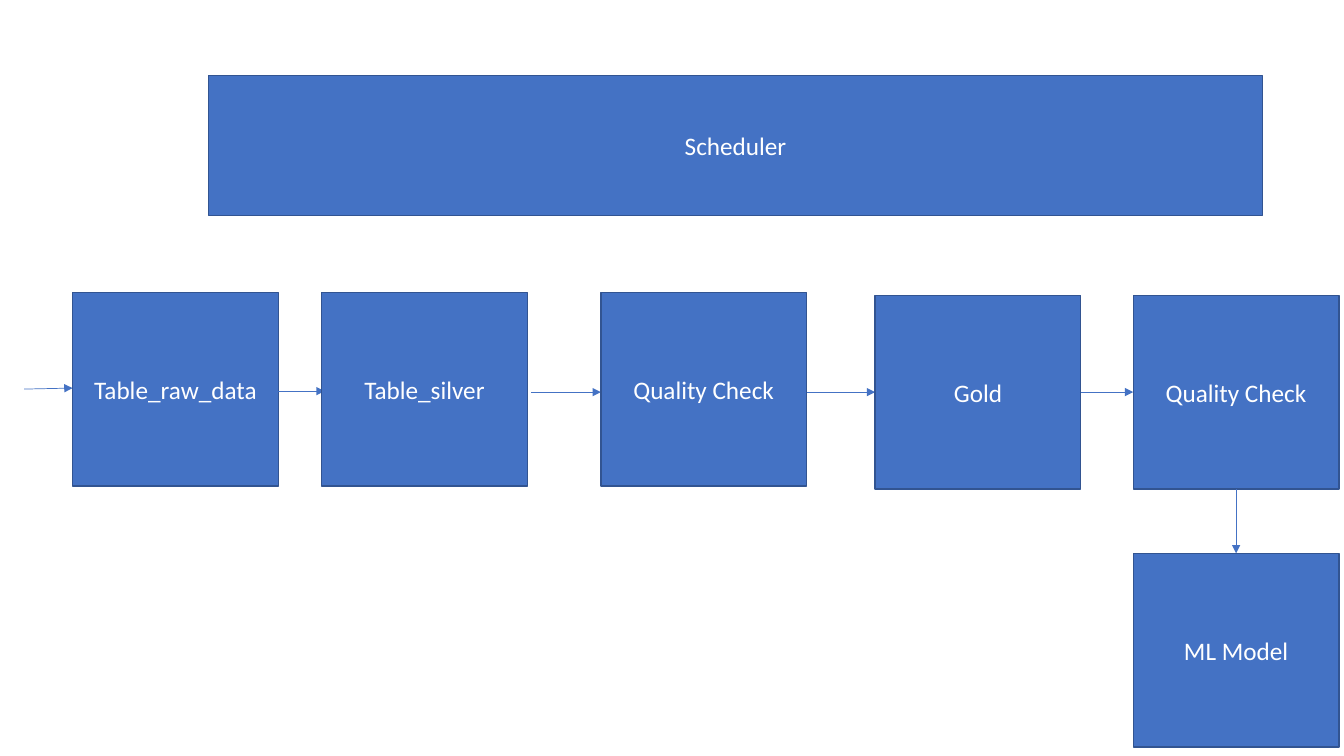
"""Build a data pipeline slide: an orchestrator above a chain of stages."""
from dataclasses import dataclass

from lxml import etree
from pptx import Presentation
from pptx.dml.color import RGBColor
from pptx.enum import shapes, text
from pptx.oxml import ns
from pptx.util import Inches, Pt


@dataclass(frozen=True)
class Theme:
    fill: str = "4472C4"
    border: str = "325491"
    label: str = "FFFFFF"
    font: str = "Calibri"
    label_size: float = 18
    border_width: float = 1
    arrow_width: float = 0.5


THEME = Theme()
STAGE_SIZE = (2.04, 1.92)
UPPER, LOWER, BOTTOM = 2.9, 2.93, 5.49

ORCHESTRATOR = ("Scheduler", (2.07, 0.75, 10.45, 1.39))
STAGES = [
    ("Table_raw_data", 0.72, UPPER, (0.24, 3.86), (0.72, 3.85)),
    ("Table_silver", 3.19, UPPER, (2.53, 3.88), (3.22, 3.88)),
    ("Quality Check", 5.96, UPPER, (5.27, 3.89), (5.96, 3.89)),
    ("Gold", 8.68, LOWER, (8, 3.89), (8.68, 3.89)),
    ("Quality Check", 11.24, LOWER, (10.72, 3.89), (11.24, 3.89)),
    ("ML Model", 11.24, BOTTOM, (12.26, 4.85), (12.26, 5.49)),
]


def write(frame, label, size=THEME.label_size, color=THEME.label,
          align=text.PP_ALIGN.CENTER):
    frame.word_wrap = True
    frame.vertical_anchor = text.MSO_ANCHOR.MIDDLE
    paragraph = frame.paragraphs[0]
    paragraph.alignment = align
    run = paragraph.add_run()
    run.text = label
    run.font.name = THEME.font
    run.font.size = Pt(size)
    run.font.color.rgb = RGBColor.from_string(color)


def add_box(slide, label, bounds):
    box = slide.shapes.add_shape(shapes.MSO_SHAPE.RECTANGLE, *map(Inches, bounds))
    box.shadow.inherit = False
    box.fill.solid()
    box.fill.fore_color.rgb = RGBColor.from_string(THEME.fill)
    box.line.color.rgb = RGBColor.from_string(THEME.border)
    box.line.width = Pt(THEME.border_width)
    write(box.text_frame, label)


def add_arrow(slide, start, end):
    arrow = slide.shapes.add_connector(
        shapes.MSO_CONNECTOR.STRAIGHT, *map(Inches, start + end))
    arrow.line.color.rgb = RGBColor.from_string(THEME.fill)
    arrow.line.width = Pt(THEME.arrow_width)
    outline = arrow._element.spPr.find(ns.qn("a:ln"))
    etree.SubElement(outline, ns.qn("a:tailEnd"), type="triangle")
    etree.SubElement(arrow._element.spPr, ns.qn("a:effectLst"))


def main():
    deck = Presentation()
    deck.slide_width, deck.slide_height = Inches(13.33), Inches(7.5)
    slide = deck.slides.add_slide(deck.slide_layouts[6])
    add_box(slide, *ORCHESTRATOR)
    for label, left, top, start, end in STAGES:
        add_arrow(slide, start, end)
        add_box(slide, label, (left, top, *STAGE_SIZE))
    deck.save("out.pptx")


if __name__ == "__main__":
    main()
